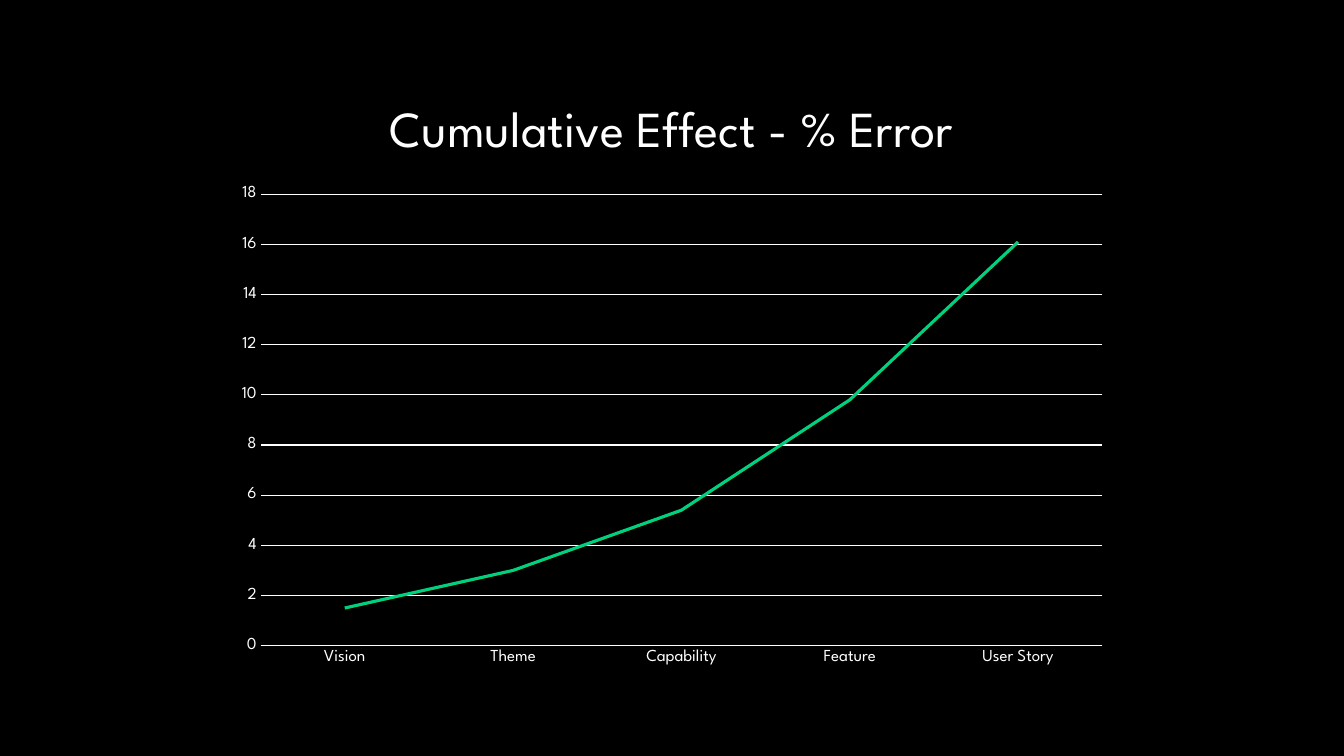
from pptx import Presentation
from pptx.chart.data import CategoryChartData
from pptx.dml.color import RGBColor
from pptx.enum.chart import XL_CHART_TYPE, XL_MARKER_STYLE, XL_TICK_MARK
from pptx.util import Inches, Pt

FONT = "League Spartan"
WHITE = "FFFFFF"
GREEN = "01D17D"
TITLE = "Cumulative Effect - % Error"


def color(hex_value):
    return RGBColor.from_string(hex_value)


def style_font(font, size):
    settings = {"name": FONT, "size": Pt(size), "bold": False}
    for attribute, value in settings.items():
        setattr(font, attribute, value)
    font.color.rgb = color(WHITE)


prs = Presentation()
prs.slide_width, prs.slide_height = Inches(13.33), Inches(7.5)
slide = prs.slides.add_slide(prs.slide_layouts[6])
slide.background.fill.solid()
slide.background.fill.fore_color.rgb = color("000000")

# Error by planning level
error_data = CategoryChartData()
error_data.categories = ["Vision", "Theme", "Capability", "Feature", "User Story"]
error_data.add_series(TITLE, [1.5, 3, 5.4, 9.8, 16.1])
error_chart = slide.shapes.add_chart(
    XL_CHART_TYPE.LINE, Inches(2.22), Inches(0.79), Inches(8.89), Inches(5.93), error_data
).chart
error_chart.has_legend = False
style_font(error_chart.font, 10)

# Chart title
error_chart.has_title = True
heading = error_chart.chart_title.text_frame
heading.text = TITLE
style_font(heading.paragraphs[0].runs[0].font, 36)
error_chart.chart_title.include_in_layout = False

# Axes
levels, percent = error_chart.category_axis, error_chart.value_axis
for axis in (levels, percent):
    axis.major_tick_mark = XL_TICK_MARK.NONE
    axis.minor_tick_mark = XL_TICK_MARK.NONE
    style_font(axis.tick_labels.font, 12)
percent.minimum_scale, percent.maximum_scale, percent.major_unit = 0, 18, 2
percent.has_major_gridlines = True
percent.format.line.fill.background()
for rule in (levels.format.line, percent.major_gridlines.format.line):
    rule.color.rgb = color(WHITE)
    rule.width = Pt(0.75)

# Error line
error_chart.plots[0].vary_by_categories = False
error_line = error_chart.plots[0].series[0]
error_line.smooth = False
error_line.marker.style = XL_MARKER_STYLE.NONE
error_line.format.line.color.rgb = color(GREEN)
error_line.format.line.width = Pt(2.25)

prs.save("out.pptx")
